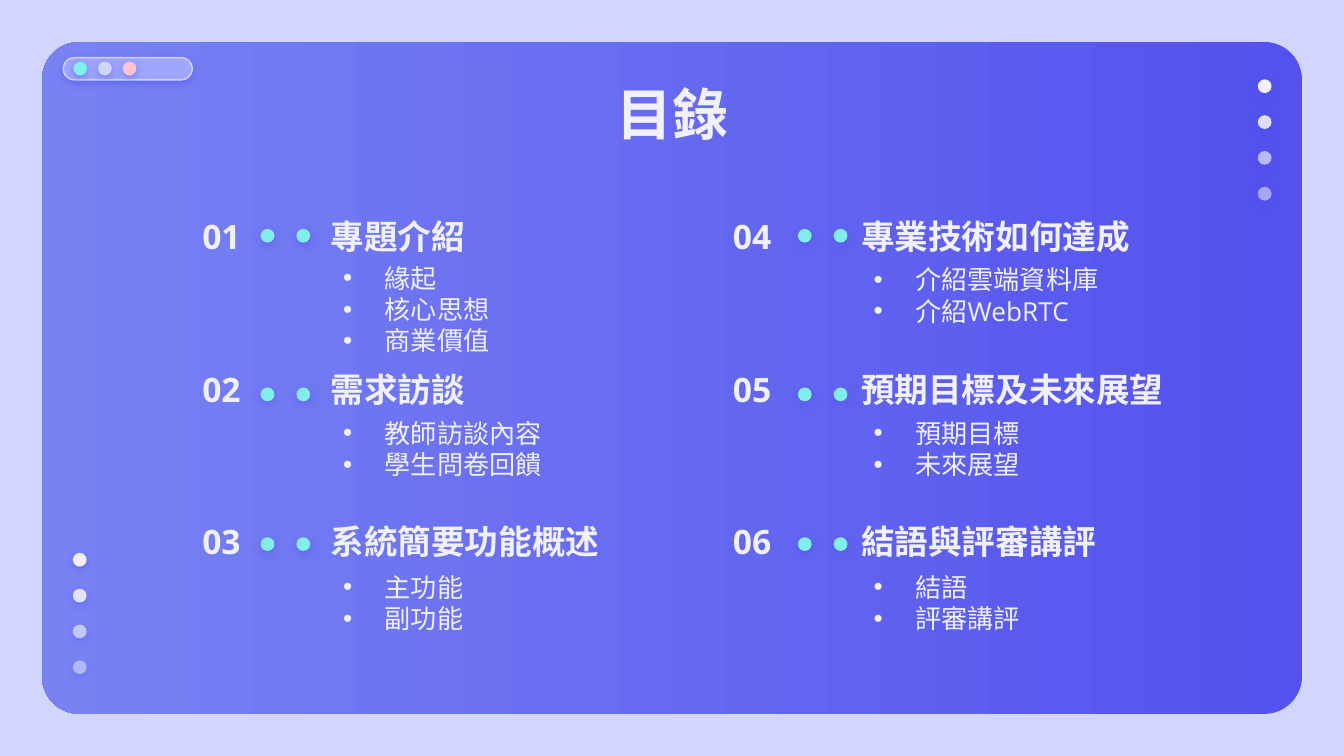
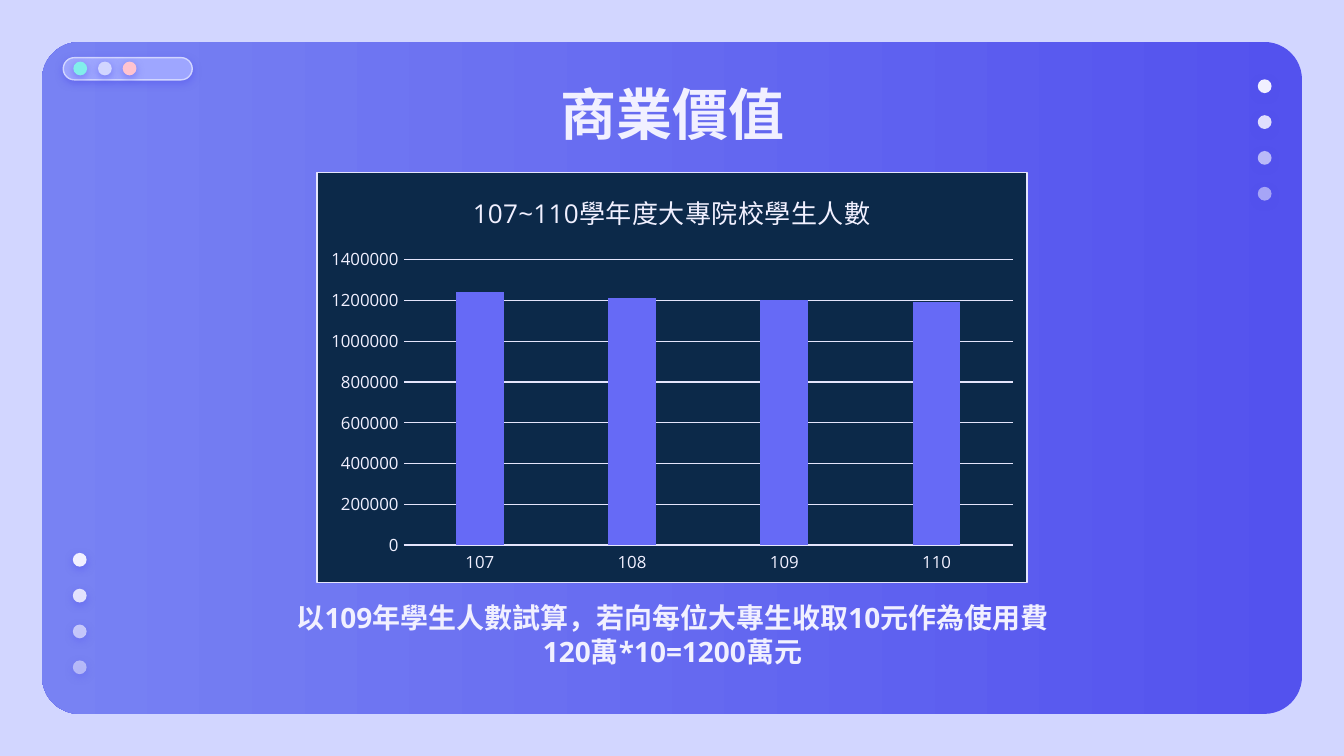
"""Builds the contents slide and the business value slide of a project talk."""
from lxml.etree import SubElement
from pptx import Presentation
from pptx.chart.data import CategoryChartData
from pptx.dml.color import RGBColor
from pptx.enum.chart import XL_CHART_TYPE as CT, XL_TICK_MARK as TM
from pptx.enum.shapes import MSO_SHAPE as MS
from pptx.enum.text import MSO_ANCHOR as MA, PP_ALIGN as PA
from pptx.oxml import parse_xml
from pptx.oxml.ns import nsdecls, qn
from pptx.util import Pt

COLORS = {
    "page": "D2D6FF", "deep": "5352EE", "soft": "7882F3", "pill": "9EA6FF",
    "mint": "81EEEB", "pink": "FFC3D0", "text": "F1F0FF", "navy": "0C2949",
    "grid": "E5E5FC", "bar": "666AF6",
}
FONT = "Open Sans"
DOT = 7.4
DOT_STEP = 19.2


def rgb(name):
    """Return the named colour."""
    return RGBColor.from_string(COLORS[name])


class Deck:
    """Holds the presentation, its style and the current slide."""

    def __init__(self):
        """Open an empty 10 by 5.625 inch presentation."""
        self.prs = Presentation()
        self.prs.slide_width, self.prs.slide_height = Pt(720), Pt(405)
        self.s = None

    def slide(self, title):
        """Start a slide with the window panel, its dots and the title."""
        self.s = self.prs.slides.add_slide(self.prs.slide_layouts[6])
        fill = self.s.background.fill
        fill.solid()
        fill.fore_color.rgb = rgb("page")
        panel = self.shape(MS.ROUNDED_RECTANGLE, 22.5, 22.5, 675, 360, "soft")
        panel.adjustments[0] = 0.056
        panel.fill.gradient()
        panel.fill.gradient_angle = 180
        for stop, name in zip(panel.fill.gradient_stops, ("deep", "soft")):
            stop.color.rgb = rgb(name)
        pill = self.shape(MS.ROUNDED_RECTANGLE, 33.9, 30.9, 69.1, 11.9, "pill", "page")
        pill.adjustments[0] = 0.5
        self.shadow(pill)
        for i, name in enumerate(("mint", "page", "pink")):
            self.dot(39.3 + 13.2 * i, 33, name)
        for x, y in ((673.8, 42.5), (39, 296.2)):
            for i, alpha in enumerate((100, 89, 66, 53)):
                self.dot(x, y + DOT_STEP * i, "text", alpha)
        self.text([title], 57, 35.3, 607, 45.4, 30, True, PA.CENTER, MA.TOP)

    def shape(self, kind, x, y, w, h, fill, line=None):
        """Add a filled preset shape."""
        sp = self.s.shapes.add_shape(kind, Pt(x), Pt(y), Pt(w), Pt(h))
        sp.shadow.inherit = False
        sp.fill.solid()
        sp.fill.fore_color.rgb = rgb(fill)
        if line:
            sp.line.color.rgb = rgb(line)
            sp.line.width = Pt(0.75)
        else:
            sp.line.fill.background()
        return sp

    def shadow(self, sp):
        """Give a shape the soft shadow below it."""
        effects = sp._element.spPr.find(qn("a:effectLst"))
        outer = SubElement(effects, qn("a:outerShdw"), blurRad=str(Pt(4.5)),
                           dist=str(Pt(1.5)), dir="5400000", algn="bl", rotWithShape="0")
        clr = SubElement(outer, qn("a:srgbClr"), val=COLORS["deep"])
        SubElement(clr, qn("a:alpha"), val="49000")

    def dot(self, x, y, fill, alpha=100):
        """Add a small shadowed dot."""
        sp = self.shape(MS.OVAL, x, y, DOT, DOT, fill)
        if alpha < 100:
            clr = sp._element.spPr.find(qn("a:solidFill")).find(qn("a:srgbClr"))
            SubElement(clr, qn("a:alpha"), val=str(alpha * 1000))
        self.shadow(sp)

    def run(self, p, text, size, bold=False):
        """Add one styled run."""
        r = p.add_run()
        r.text = text
        self.style(r.font, size, bold)
        SubElement(r._r.get_or_add_rPr(), qn("a:ea"), typeface=FONT)

    def style(self, font, size, bold=False):
        """Set the shared look of a font."""
        font.name, font.size, font.bold = FONT, Pt(size), bold
        font.color.rgb = rgb("text")

    def text(self, lines, x, y, w, h, size, bold=False, align=PA.LEFT,
             anchor=MA.MIDDLE, bullets=False):
        """Add a text box with one paragraph per line."""
        tf = self.s.shapes.add_textbox(Pt(x), Pt(y), Pt(w), Pt(h)).text_frame
        tf.word_wrap, tf.vertical_anchor = True, anchor
        tf.margin_left = tf.margin_right = tf.margin_top = tf.margin_bottom = Pt(7.2)
        for i, line in enumerate(lines):
            p = tf.add_paragraph() if i else tf.paragraphs[0]
            p.alignment = align
            if bullets:
                self.bullet(p)
            self.run(p, line, size, bold)

    def bullet(self, p):
        """Give a paragraph a hanging round bullet."""
        pPr = p._p.get_or_add_pPr()
        pPr.set("marL", str(Pt(34)))
        pPr.set("indent", str(Pt(-22.3)))
        clr = SubElement(pPr, qn("a:buClr"))
        SubElement(clr, qn("a:srgbClr"), val=COLORS["text"])
        SubElement(pPr, qn("a:buFont"), typeface="Arial")
        SubElement(pPr, qn("a:buChar"), char="•")

    def columns(self, title, cats, vals, x, y, w, h):
        """Add a dark column chart."""
        data = CategoryChartData()
        data.categories = cats
        data.add_series(title, vals)
        chart = self.s.shapes.add_chart(CT.COLUMN_CLUSTERED, Pt(x), Pt(y), Pt(w), Pt(h),
                                        data).chart
        chart.font.name, chart.font.size = "Arial", Pt(10)
        chart.font.color.rgb = rgb("deep")
        chart.has_legend = False
        chart.has_title = True
        chart.chart_title.include_in_layout = False
        self.run(chart.chart_title.text_frame.paragraphs[0], title, 14)
        plot = chart.plots[0]
        plot.gap_width, plot.overlap, plot.vary_by_categories = 219, -27, False
        fill = plot.series[0].format.fill
        fill.solid()
        fill.fore_color.rgb = rgb("bar")
        cat, val = chart.category_axis, chart.value_axis
        for axis in (cat, val):
            axis.major_tick_mark = axis.minor_tick_mark = TM.NONE
            self.style(axis.tick_labels.font, 9)
        val.minimum_scale, val.major_unit = 0, 200000
        val.has_major_gridlines = True
        val.format.line.fill.background()
        for line in (cat.format.line, val.major_gridlines.format.line):
            line.color.rgb = rgb("grid")
            line.width = Pt(0.75)
        frame = parse_xml(
            f'<c:spPr {nsdecls("c", "a")}>'
            f'<a:solidFill><a:srgbClr val="{COLORS["navy"]}"/></a:solidFill>'
            f'<a:ln w="{Pt(0.75)}"><a:solidFill><a:srgbClr val="{COLORS["grid"]}"/>'
            '</a:solidFill></a:ln></c:spPr>')
        chart._chartSpace.find(qn("c:chart")).addnext(frame)


SECTIONS = [
    ("專題介紹", ["緣起", "核心思想", "商業價值"]),
    ("需求訪談", ["教師訪談內容", "學生問卷回饋"]),
    ("系統簡要功能概述", ["主功能", "副功能"]),
    ("專業技術如何達成", ["介紹雲端資料庫", "介紹WebRTC"]),
    ("預期目標及未來展望", ["預期目標", "未來展望"]),
    ("結語與評審講評", ["結語", "評審講評"]),
]
DOT_TOPS = (122.6, 207.6, 287.8)
LIST_MIDDLES = (158, 240.2, 322.7)


def contents(deck):
    """Build the contents slide."""
    deck.slide("目錄")
    for i, (heading, items) in enumerate(SECTIONS):
        col, row = divmod(i, 3)
        dx, y = 284.2 * col, 116.8 + 81.7 * row
        deck.text([f"{i + 1:02}"], 84.2 + dx, y, 69, 19.4, 18, True, PA.CENTER)
        deck.text([heading], 170 + dx, y, 181.4, 19.4, 18, True)
        height = 38.2 if len(items) == 2 else 76.3
        middle = LIST_MIDDLES[row] if len(items) == 2 else 165.6
        deck.text(items, 165 + dx, middle - height / 2, 156, height, 14, bullets=True)
        for k in range(2):
            deck.dot(139.6 + 287.8 * col + DOT_STEP * k, DOT_TOPS[row], "mint")


def business_value(deck):
    """Build the business value slide."""
    deck.slide("商業價值")
    deck.columns("107~110學年度大專院校學生人數", ["107", "108", "109", "110"],
                 [1240000, 1210000, 1200000, 1190000], 169.5, 92, 381, 220.3)
    deck.text(["以109年學生人數試算，若向每位大專生收取10元作為使用費", "120萬*10=1200萬元"],
              141, 317, 438.5, 45.4, 15, True, PA.CENTER)


def main():
    """Build and save the slides."""
    deck = Deck()
    contents(deck)
    business_value(deck)
    deck.prs.save("out.pptx")


if __name__ == "__main__":
    main()
